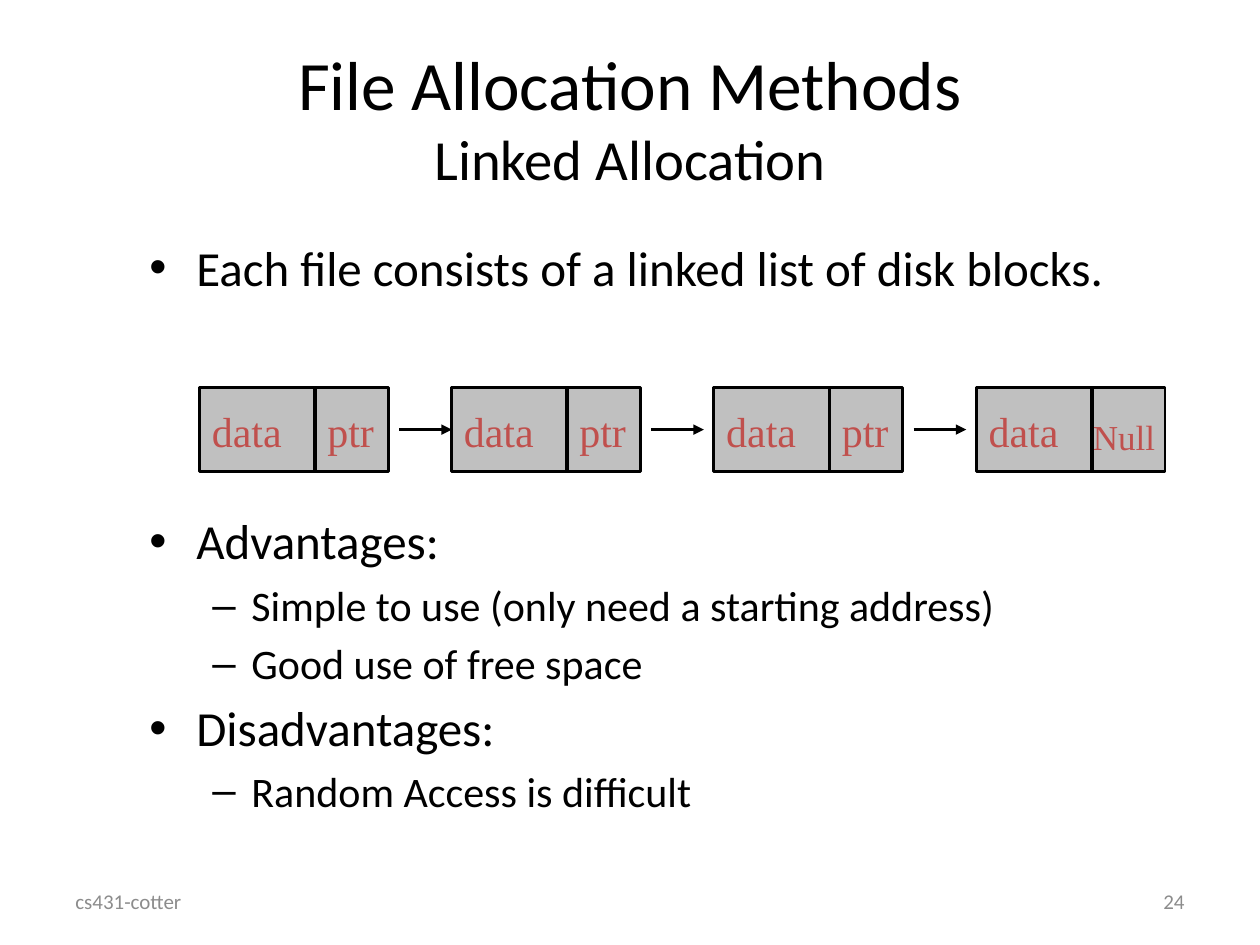
from dataclasses import dataclass

from lxml.etree import SubElement
from pptx import Presentation
from pptx.dml.color import RGBColor
from pptx.enum.shapes import MSO_CONNECTOR, MSO_SHAPE
from pptx.enum.text import MSO_ANCHOR, MSO_AUTO_SIZE, PP_ALIGN
from pptx.oxml.ns import qn
from pptx.util import Cm, Pt


@dataclass(frozen=True)
class Theme:
    text: str = "000000"
    muted: str = "8C8C8C"
    accent: str = "C0504D"
    block: str = "C0C0C0"
    font: str = "Calibri"
    block_font: str = "Times New Roman"
    title_size: float = 39.6
    subtitle_size: float = 32.4
    body_size: float = 28
    detail_size: float = 24
    null_size: float = 20
    footer_size: float = 12


THEME = Theme()

# Text, bullet level, space before in points
BODY = [
    ("Each file consists of a linked list of disk blocks.", 0, 5.6),
    ("Advantages:", 0, 122.6),  # leaves room for the block chain
    ("Simple to use (only need a starting address)", 1, 5.6),
    ("Good use of free space", 1, 4.5),
    ("Disadvantages:", 0, 5.6),
    ("Random Access is difficult", 1, 4.8),
]
# Bullet character, text indent in cm, hanging indent in cm
BULLETS = [("•", 0.95, 0.95), ("–", 2.06, 0.79)]
# Left edge of each block in cm, and the text of its pointer cell
BLOCKS = [(0, "ptr"), (5.08, "ptr"), (10.37, "ptr"), (15.66, "Null")]


def add_run(paragraph, text, size, color=THEME.text, font=THEME.font):
    run = paragraph.add_run()
    run.text = text
    run.font.size = Pt(size)
    run.font.name = font
    run.font.color.rgb = RGBColor.from_string(color)


def add_text(slide, text, left, top, width, height, *, align=PP_ALIGN.LEFT,
             anchor=MSO_ANCHOR.TOP, wrap=True, **run_format):
    frame = slide.shapes.add_textbox(
        Cm(left), Cm(top), Cm(width), Cm(height)).text_frame
    frame.word_wrap = wrap
    frame.vertical_anchor = anchor
    paragraph = frame.paragraphs[0]
    paragraph.alignment = align
    add_run(paragraph, text, **run_format)


def add_line(slide, start, end, width, arrow=False):
    points = [Cm(value) for value in (*start, *end)]
    connector = slide.shapes.add_connector(MSO_CONNECTOR.STRAIGHT, *points)
    connector.line.width = Pt(width)
    connector.line.color.rgb = RGBColor.from_string(THEME.text)
    if arrow:
        SubElement(connector.line._get_or_add_ln(), qn("a:tailEnd"), type="triangle")
    SubElement(connector._element.spPr, qn("a:effectLst"))


def add_title(slide, left, top, width, height):
    title = slide.shapes.title
    title.left, title.top = Cm(left), Cm(top)
    title.width, title.height = Cm(width), Cm(height)
    frame = title.text_frame
    frame.auto_size = MSO_AUTO_SIZE.NONE
    frame.vertical_anchor = MSO_ANCHOR.MIDDLE
    paragraph = frame.paragraphs[0]
    paragraph.alignment = PP_ALIGN.CENTER
    add_run(paragraph, "File Allocation Methods", THEME.title_size)
    paragraph.add_line_break()
    add_run(paragraph, "Linked Allocation", THEME.subtitle_size)


def add_body(slide, left, top, width, height):
    frame = slide.shapes.add_textbox(
        Cm(left), Cm(top), Cm(width), Cm(height)).text_frame
    frame.word_wrap = True
    sizes = (THEME.body_size, THEME.detail_size)
    for index, (text, level, space) in enumerate(BODY):
        paragraph = frame.add_paragraph() if index else frame.paragraphs[0]
        paragraph.level = level
        paragraph.space_before = Pt(space)
        character, indent, hanging = BULLETS[level]
        properties = paragraph._p.get_or_add_pPr()
        properties.set("marL", str(Cm(indent)))
        properties.set("indent", str(-Cm(hanging)))
        SubElement(properties, qn("a:buFont"), typeface="Arial")
        SubElement(properties, qn("a:buChar"), char=character)
        add_run(paragraph, text, sizes[level])


def add_block(slide, left, top, width, height, pointer):
    """Draw one disk block: a data cell and a pointer cell."""
    block = slide.shapes.add_shape(
        MSO_SHAPE.RECTANGLE, Cm(left), Cm(top), Cm(width), Cm(height))
    block.shadow.inherit = False
    block.fill.solid()
    block.fill.fore_color.rgb = RGBColor.from_string(THEME.block)
    block.line.color.rgb = RGBColor.from_string(THEME.text)
    block.line.width = Pt(1.5)

    divider = left + 2.33
    style = dict(color=THEME.accent, font=THEME.block_font, wrap=False)
    add_text(slide, "data", left, top + 0.24, 1.93, 1.27,
             size=THEME.detail_size, **style)
    if pointer == "Null":
        add_text(slide, pointer, divider - 0.23, top + 0.45, 2, 1.1,
                 size=THEME.null_size, **style)
    else:
        add_text(slide, pointer, divider, top + 0.24, 1.45, 1.27,
                 size=THEME.detail_size, **style)
    add_line(slide, (divider, top), (divider, top + height), 2)


def add_block_chain(slide, left, top, width, height):
    block_width = width - BLOCKS[-1][0]
    for offset, pointer in BLOCKS:
        block_left = left + offset
        add_block(slide, block_left, top, block_width, height, pointer)
        if pointer == "ptr":
            start = block_left + block_width + 0.22
            middle = top + height / 2
            add_line(slide, (start, middle), (start + 1.06, middle), 1.5, arrow=True)


def add_footer(slide, left, top, width, height):
    box_width = 5.92
    style = dict(size=THEME.footer_size, color=THEME.muted, anchor=MSO_ANCHOR.MIDDLE)
    add_text(slide, "cs431-cotter", left, top, box_width, height, **style)
    add_text(slide, "24", left + width - box_width, top, box_width, height,
             align=PP_ALIGN.RIGHT, **style)


def main():
    presentation = Presentation()
    presentation.slide_width, presentation.slide_height = Cm(25.4), Cm(19.05)
    slide = presentation.slides.add_slide(presentation.slide_layouts[5])
    add_footer(slide, 1.27, 17.65, 22.86, 1.02)
    add_title(slide, 1.27, 0.76, 22.86, 3.18)
    add_body(slide, 2.76, 4.66, 21.59, 11.43)
    add_block_chain(slide, 4.02, 7.81, 19.47, 1.7)
    presentation.save("out.pptx")


if __name__ == "__main__":
    main()
